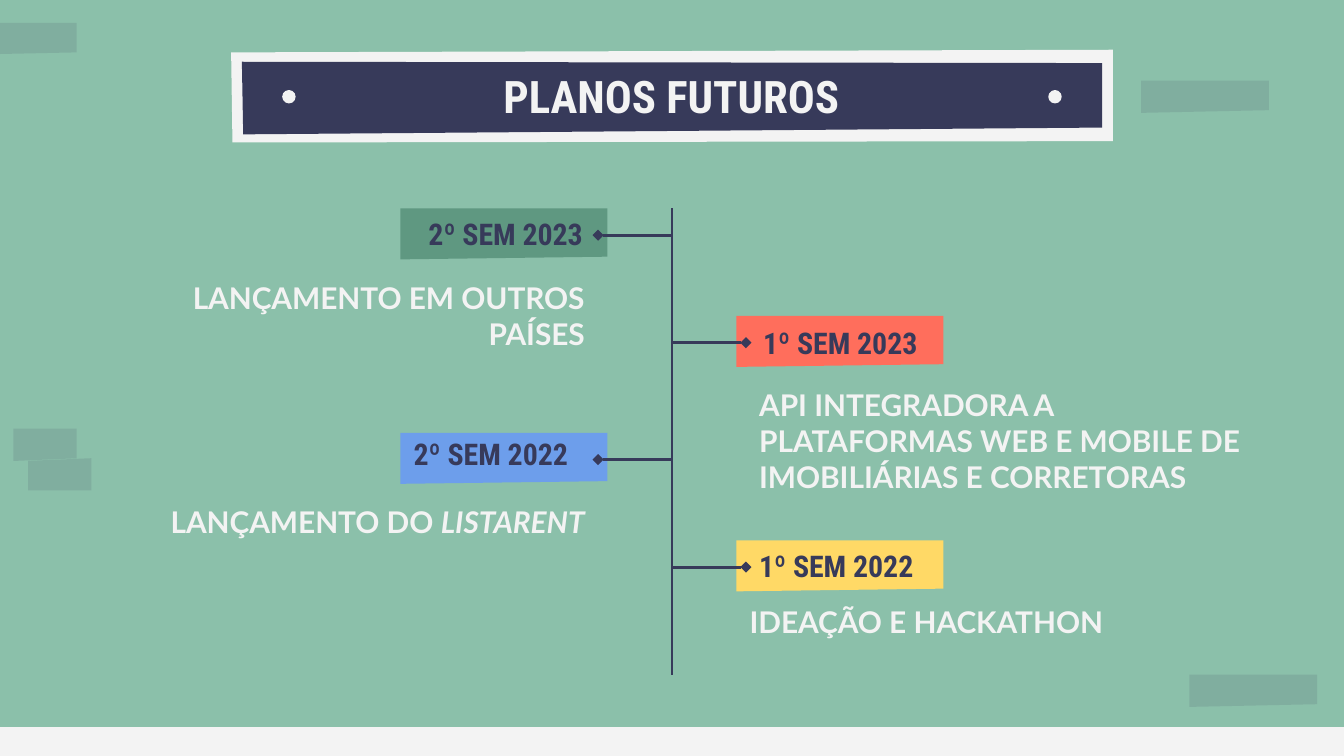
from lxml import etree
from pptx import Presentation
from pptx.dml.color import RGBColor
from pptx.enum.shapes import MSO_CONNECTOR, MSO_SHAPE
from pptx.enum.text import MSO_ANCHOR, PP_ALIGN
from pptx.oxml.ns import qn
from pptx.util import Inches, Pt

WIDTH = 10
HEIGHT = WIDTH * 9 / 16
LEFT, CENTER, RIGHT = PP_ALIGN.LEFT, PP_ALIGN.CENTER, PP_ALIGN.RIGHT
TOP, BOTTOM = MSO_ANCHOR.TOP, MSO_ANCHOR.BOTTOM
RECT, OVAL = MSO_SHAPE.RECTANGLE, MSO_SHAPE.OVAL
STRAIGHT = MSO_CONNECTOR.STRAIGHT

GREEN, NAVY, PALE = "8BC0AA", "373A5A", "F3F3F3"
TITLE_FONT = {"name": "Roboto Condensed", "size": Pt(24), "bold": True}
DATE_FONT = {"name": "Roboto Condensed", "size": Pt(16), "bold": True}
BODY_FONT = {"name": "Lato", "size": Pt(16), "bold": True}

SPINE = WIDTH / 2
TAG_W, TAG_H, TAG_GAP = 1.54, 0.38, 0.48
PATCHES = [(-0.38, 0.17, 0.95, False), (0.21, 3.41, 0.47, True),
           (0.1, 3.19, 0.47, False), (8.85, 5.02, 0.95, False),
           (8.49, 0.6, 0.95, False)]
BANNER = [
    (PALE, [(1.72, 0.39), (1.73, 1.06), (8.28, 1.05), (8.28, 0.37)]),
    (NAVY, [(1.8, 0.46), (1.81, 1), (8.2, 0.95), (8.2, 0.47)]),
]
MILESTONES = [
    {"side": -1, "top": 1.55, "color": "5F9881", "date": "2º SEM 2023",
     "date_at": (3.09, 1.5), "text_at": (1.01, 1.98, 3.44, 0.68),
     "text": [("LANÇAMENTO EM OUTROS PAÍSES", False)]},
    {"side": 1, "top": 2.35, "color": "FF6E5C", "date": "1º SEM 2023",
     "date_at": (5.58, 2.31), "text_at": (5.55, 2.78, 3.89, 1.15),
     "text": [("API INTEGRADORA A PLATAFORMAS WEB E MOBILE DE "
               "IMOBILIÁRIAS E CORRETORAS", False)]},
    {"side": -1, "top": 3.22, "color": "6D9EEB", "date": "2º SEM 2022",
     "date_at": (2.98, 3.14), "text_at": (1.01, 3.65, 3.44, 0.68),
     "text": [("LANÇAMENTO DO ", False), ("LISTARENT", True)]},
    {"side": 1, "top": 4.02, "color": "FFD966", "date": "1º SEM 2022",
     "date_at": (5.55, 3.97), "text_at": (5.48, 4.39, 3.44, 0.68),
     "text": [("IDEAÇÃO E HACKATHON", False)]},
]


def rgb(color):
    """Turn a hex string into a colour."""
    return RGBColor.from_string(color)


def paint(sp, color, alpha=None):
    """Give a shape a flat fill, optionally see-through, and no line."""
    sp.shadow.inherit = False
    sp.fill.solid()
    sp.fill.fore_color.rgb = rgb(color)
    sp.line.fill.background()
    if alpha:
        clr = sp._element.spPr.find(qn("a:solidFill"))[0]
        etree.SubElement(clr, qn("a:alpha"), val=str(alpha * 1000))


def add_shape(slide, kind, box, color):
    """Add a filled preset shape."""
    paint(slide.shapes.add_shape(kind, *map(Inches, box)), color)


def add_polygon(slide, points, color, alpha=None):
    """Add a filled closed outline."""
    start, *rest = [(Inches(x), Inches(y)) for x, y in points]
    builder = slide.shapes.build_freeform(*start)
    builder.add_line_segments(rest, close=True)
    paint(builder.convert_to_shape(), color, alpha)


def add_strip(slide, left, top, width, height, color, alpha=None, turned=False):
    """Add a strip cut at its lower right corner, or upper left when turned."""
    right, bottom = left + width, top + height
    cut_left, cut_right = (0.02, 0) if turned else (0, 0.02)
    add_polygon(slide, [(left, top + cut_left), (right, top),
                        (right, bottom - cut_right), (left, bottom)],
                color, alpha)


def add_line(slide, start, end, diamond=False):
    """Add a navy line, with a diamond at its end if asked."""
    line = slide.shapes.add_connector(STRAIGHT, *map(Inches, start + end))
    line.line.color.rgb = rgb(NAVY)
    line.line.width = Pt(1.5)
    spPr = line._element.spPr
    if diamond:
        etree.SubElement(spPr.find(qn("a:ln")), qn("a:tailEnd"), type="diamond")
    etree.SubElement(spPr, qn("a:effectLst"))


def write(sp, runs, font, color, align=LEFT, anchor=TOP):
    """Write one paragraph of (text, italic) runs into a shape."""
    tf = sp.text_frame
    frame = {"word_wrap": True, "vertical_anchor": anchor}
    for side in ("left", "right", "top", "bottom"):
        frame["margin_" + side] = Inches(0.1)
    for name, value in frame.items():
        setattr(tf, name, value)
    p = tf.paragraphs[0]
    p.alignment = align
    for text, italic in runs:
        r = p.add_run()
        r.text = text
        for name, value in {**font, "italic": italic}.items():
            setattr(r.font, name, value)
        r.font.color.rgb = rgb(color)


def add_text(slide, box, *args, **kwargs):
    """Add a text box and write into it."""
    write(slide.shapes.add_textbox(*map(Inches, box)), *args, **kwargs)


def add_backdrop(slide):
    """Add the background, the faint strips and the bottom band."""
    slide.background.fill.solid()
    slide.background.fill.fore_color.rgb = rgb(GREEN)
    for left, top, width, turned in PATCHES:
        add_strip(slide, left, top, width, 0.24, NAVY, 13, turned)
    add_shape(slide, RECT, (0, 5.41, WIDTH, HEIGHT - 5.41), PALE)


def add_title(slide, text):
    """Add the banner with its two pins and put the title over it."""
    for color, points in BANNER:
        add_polygon(slide, points, color)
    for left in (2.1, 7.8):
        add_shape(slide, OVAL, (left, 0.67, 0.1, 0.1), PALE)
    sp = slide.shapes.title
    box = {"left": 2.46, "top": 0.41, "width": 5.07, "height": 0.63}
    for name, value in box.items():
        setattr(sp, name, Inches(value))
    slide.shapes._spTree.append(sp._element)
    write(sp, [(text, False)], TITLE_FONT, PALE, CENTER)


def add_milestone(slide, side, top, color, date, date_at, text_at, text):
    """Add a date tag, its link to the spine and its description."""
    left = SPINE + TAG_GAP if side > 0 else SPINE - TAG_GAP - TAG_W
    add_strip(slide, left, top, TAG_W, TAG_H, color)
    add_text(slide, date_at + (1.64, 0.47), [(date, False)], DATE_FONT, NAVY,
             anchor=BOTTOM)
    add_text(slide, text_at, text, BODY_FONT, PALE, LEFT if side > 0 else RIGHT)
    y = top + 0.2
    add_line(slide, (SPINE, y), (SPINE + side * 0.55, y), diamond=True)


def main():
    """Build the timeline slide."""
    prs = Presentation()
    prs.slide_width, prs.slide_height = Inches(WIDTH), Inches(HEIGHT)
    slide = prs.slides.add_slide(prs.slide_layouts[5])
    add_backdrop(slide)
    add_title(slide, "PLANOS FUTUROS")
    add_line(slide, (SPINE, 1.55), (SPINE, 5.02))
    for milestone in MILESTONES:
        add_milestone(slide, **milestone)
    prs.save("out.pptx")


if __name__ == "__main__":
    main()
